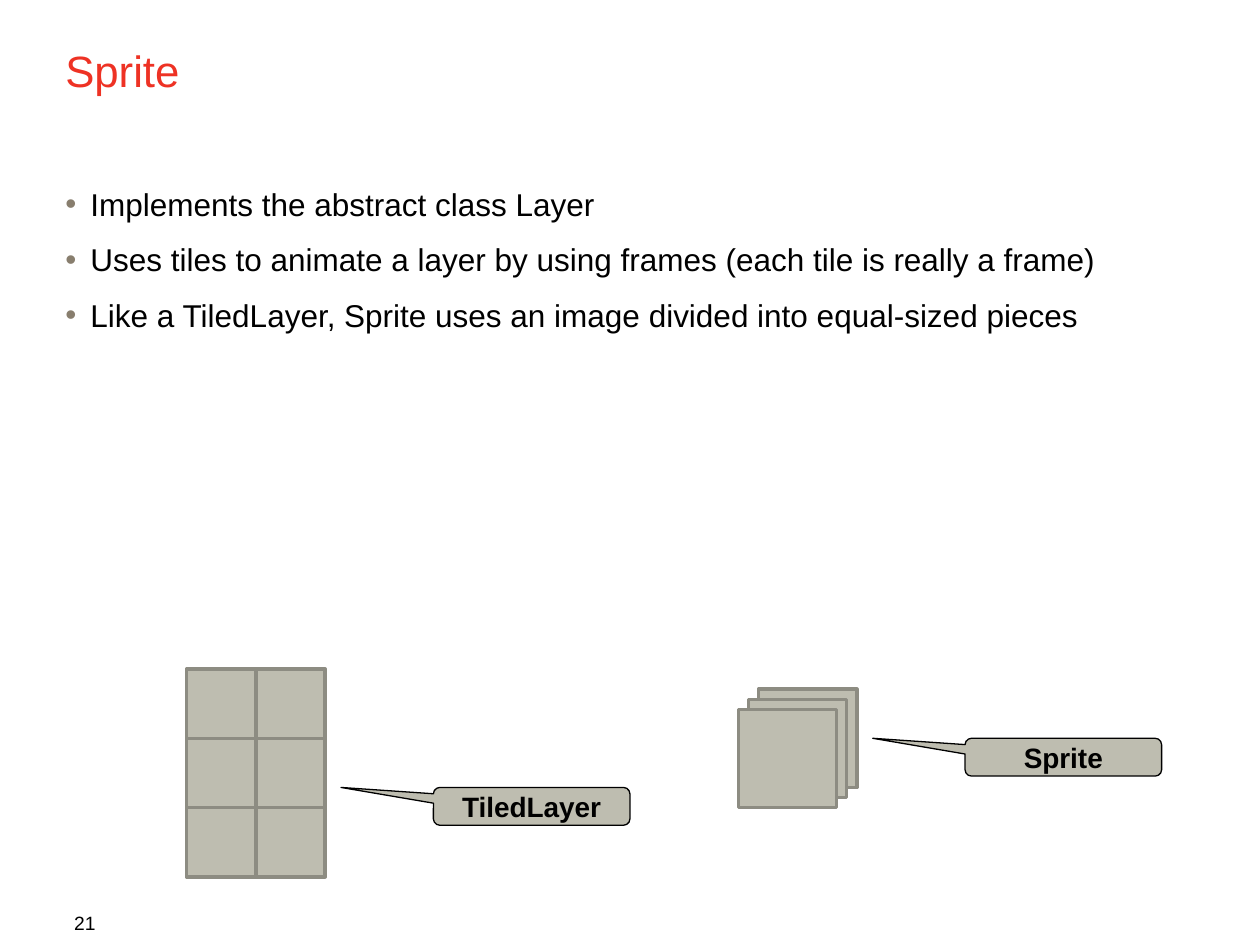
from lxml import etree
from pptx import Presentation
from pptx.dml.color import RGBColor
from pptx.enum.shapes import MSO_SHAPE
from pptx.enum.text import MSO_ANCHOR, PP_ALIGN
from pptx.oxml.ns import qn
from pptx.util import Inches, Pt

RECTANGLE = MSO_SHAPE.RECTANGLE
CALLOUT = MSO_SHAPE.ROUNDED_RECTANGULAR_CALLOUT
MIDDLE = MSO_ANCHOR.MIDDLE
CENTER = PP_ALIGN.CENTER

RED = RGBColor(0xEE, 0x32, 0x24)
BLACK = RGBColor(0, 0, 0)
TILE_FILL = RGBColor(0xBE, 0xBD, 0xB0)
TILE_LINE = RGBColor(0x8D, 0x8C, 0x82)
BULLET_COLOR = "887E6E"
FONT = "Arial"

BULLETS = [
    "Implements the abstract class Layer",
    "Uses tiles to animate a layer by using frames (each tile is really a frame)",
    "Like a TiledLayer, Sprite uses an image divided into equal-sized pieces",
]


def add_run(paragraph, text, size, color=BLACK, bold=False):
    run = paragraph.add_run()
    run.text = text
    run.font.name = FONT
    run.font.size = Pt(size)
    run.font.bold = bold
    run.font.color.rgb = color


def add_text_frame(slide, left, top, width, height):
    box = slide.shapes.add_textbox(
        Inches(left), Inches(top), Inches(width), Inches(height))
    box.text_frame.word_wrap = True
    return box.text_frame


def add_label(slide, text, left, top, width, height, size, color=BLACK):
    frame = add_text_frame(slide, left, top, width, height)
    add_run(frame.paragraphs[0], text, size, color)


def set_bullet(paragraph):
    properties = paragraph._p.get_or_add_pPr()
    properties.set("marL", str(Inches(0.2)))
    properties.set("indent", str(Inches(-0.2)))
    color = etree.SubElement(properties, qn("a:buClr"))
    etree.SubElement(color, qn("a:srgbClr"), val=BULLET_COLOR)
    etree.SubElement(properties, qn("a:buFont"), typeface=FONT)
    etree.SubElement(properties, qn("a:buChar"), char="•")


def add_bullets(slide, items, left, top, width, height):
    frame = add_text_frame(slide, left, top, width, height)
    for index, item in enumerate(items):
        paragraph = frame.add_paragraph() if index else frame.paragraphs[0]
        paragraph.space_after = Pt(10)
        set_bullet(paragraph)
        add_run(paragraph, item, 18)


def add_filled_shape(slide, kind, left, top, width, height, line_color, line_width):
    shape = slide.shapes.add_shape(
        kind, Inches(left), Inches(top), Inches(width), Inches(height))
    shape.shadow.inherit = False
    shape.fill.solid()
    shape.fill.fore_color.rgb = TILE_FILL
    shape.line.color.rgb = line_color
    shape.line.width = Pt(line_width)
    return shape


def add_tile(slide, left, top, size):
    add_filled_shape(slide, RECTANGLE, left, top, size, size, TILE_LINE, 2)


def add_tile_grid(slide, left, top, size, columns, rows):
    for column in range(columns):
        for row in range(rows):
            add_tile(slide, left + column * size, top + row * size, size)


def add_frame_stack(slide, left, top, size, offset, count):
    for index in range(count):
        add_tile(slide, left - index * offset, top + index * offset, size)


def add_callout(slide, text, left, top):
    shape = add_filled_shape(slide, CALLOUT, left, top, 1.56, 0.3, BLACK, 0.75)
    for index, value in enumerate((-0.97, -0.5, 0.17)):
        shape.adjustments[index] = value
    frame = shape.text_frame
    frame.margin_left = frame.margin_right = 0
    frame.margin_top = frame.margin_bottom = 0
    frame.vertical_anchor = MIDDLE
    paragraph = frame.paragraphs[0]
    paragraph.alignment = CENTER
    add_run(paragraph, text, 16, bold=True)


def main():
    presentation = Presentation()
    presentation.slide_width = Inches(10)
    presentation.slide_height = Inches(7.5)
    slide = presentation.slides.add_slide(presentation.slide_layouts[6])

    add_label(slide, "Sprite", 0.42, 0.3, 9, 1.01, 25, RED)
    add_bullets(slide, BULLETS, 0.42, 1.42, 9, 5.32)
    add_label(slide, "21", 0.49, 7.18, 2.33, 0.24, 11)
    add_tile_grid(slide, 1.48, 5.31, 0.55, columns=2, rows=3)
    add_frame_stack(slide, 6.02, 5.47, 0.78, offset=0.08, count=3)
    add_callout(slide, "TiledLayer", 3.44, 6.25)
    add_callout(slide, "Sprite", 7.66, 5.86)

    presentation.save("out.pptx")


if __name__ == "__main__":
    main()
